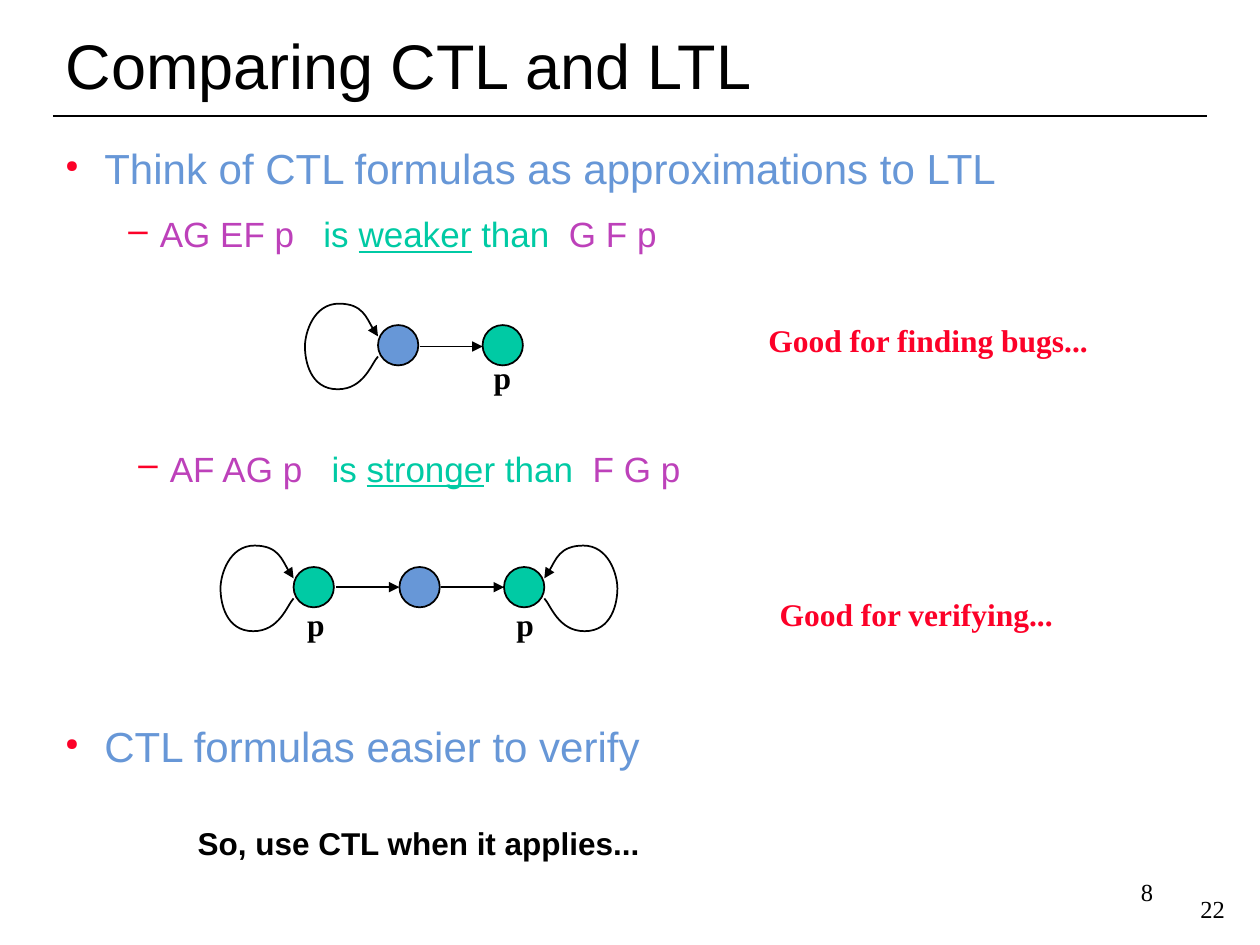
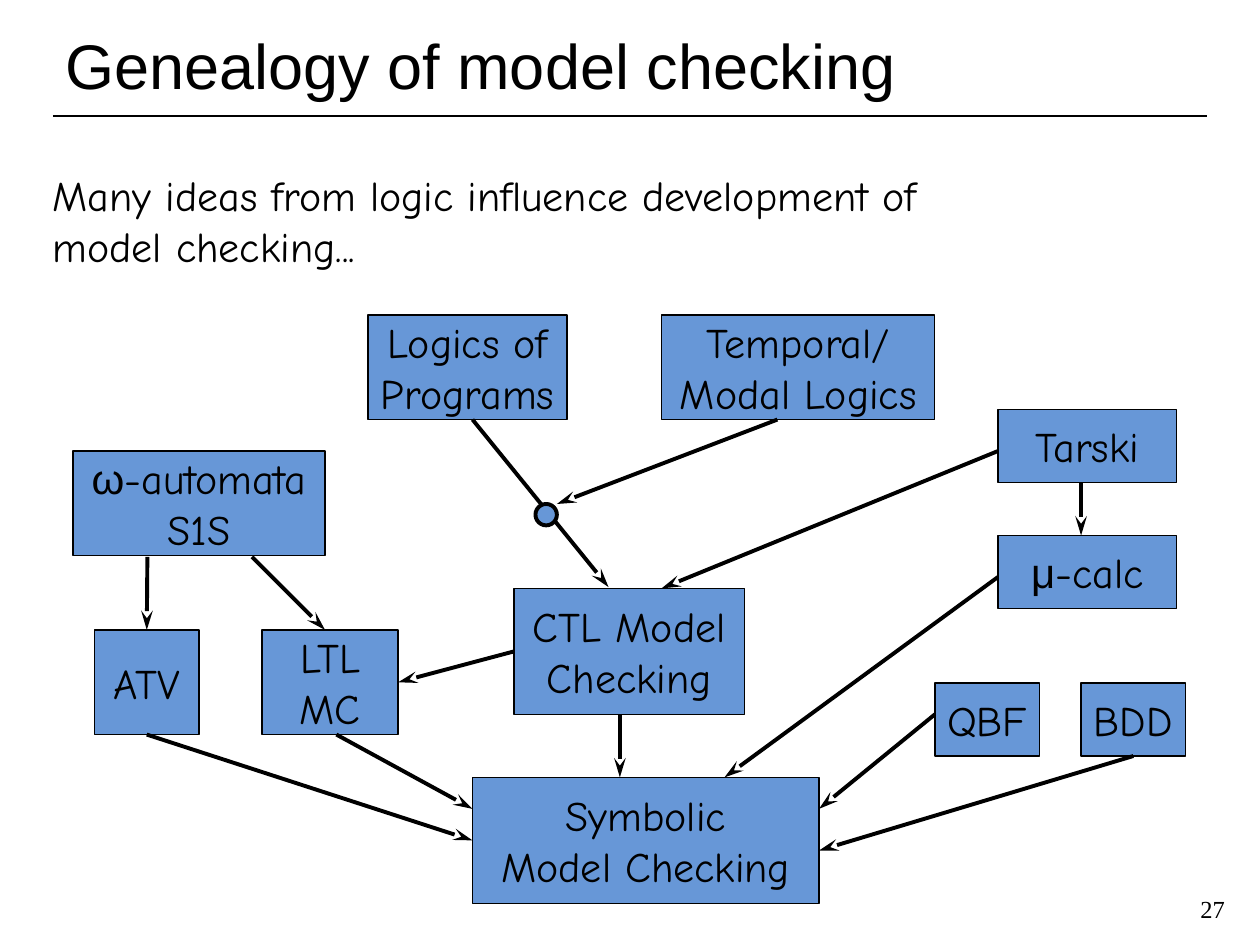
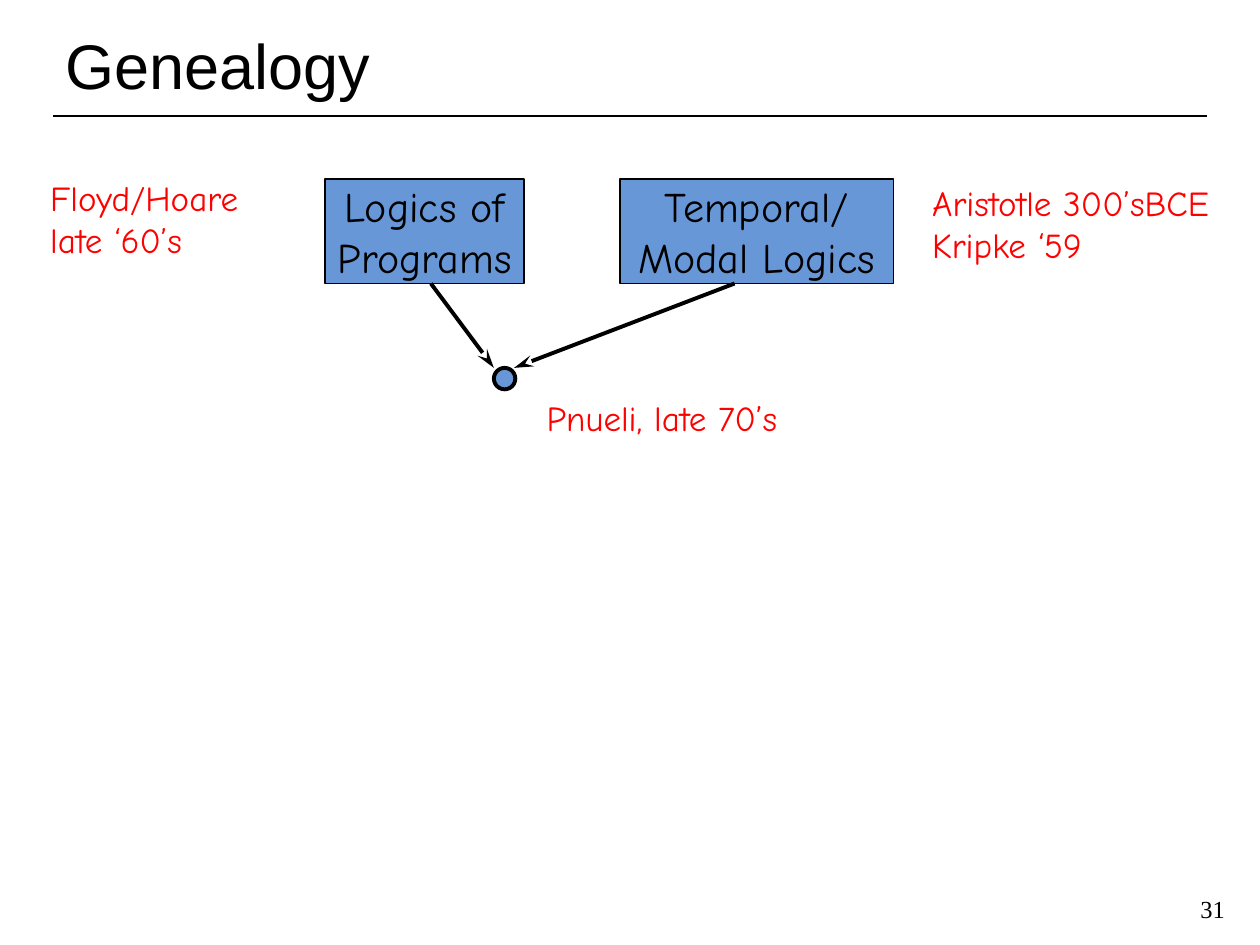
from dataclasses import dataclass

from lxml import etree
from pptx import Presentation
from pptx.dml.color import RGBColor
from pptx.enum.shapes import MSO_CONNECTOR as Link, MSO_SHAPE as Shape
from pptx.enum.text import MSO_ANCHOR as Anchor, MSO_AUTO_SIZE as AutoSize, PP_ALIGN as Align
from pptx.oxml.ns import qn
from pptx.util import Inches, Pt


@dataclass(frozen=True)
class Theme:
    black: str = "000000"
    blue: str = "6797D7"
    green: str = "00CAA4"
    purple: str = "BD41BA"
    crimson: str = "FC0128"
    red: str = "FF0000"
    sans: str = "Arial"
    serif: str = "Times New Roman"
    hand: str = "Comic Neue"
    title: int = 36
    large: int = 24
    medium: int = 20
    label: int = 18
    number: int = 14
    thin: float = 0.75
    normal: float = 1
    thick: float = 2.25


theme = Theme()
TITLE = {"name": theme.sans, "size": theme.title, "color": theme.black}
POINT = {"name": theme.sans, "size": theme.large, "color": theme.blue}
SUBPOINT = {"name": theme.sans, "size": theme.medium, "color": theme.green}
CLOSING = {"name": theme.sans, "size": theme.label, "color": theme.black, "bold": True}
STATE = CLOSING | {"name": theme.serif}
REMARK = STATE | {"color": theme.crimson}
NUMBER = {"name": theme.serif, "size": theme.number, "color": theme.black}
NODE = {"name": theme.hand, "size": theme.large, "color": theme.black}
HISTORY = {"name": theme.hand, "size": theme.medium, "color": theme.red}
FORMULA = {"color": theme.purple}
GREEK = {"name": theme.sans}


def write(frame, lines, style, wrap=False, align=Align.LEFT, anchor=Anchor.TOP):
    """Fill a frame; a line is a string or a list of (text, format changes)."""
    frame.word_wrap, frame.vertical_anchor = wrap, anchor
    frame.auto_size = AutoSize.NONE
    for index, line in enumerate(lines):
        para = frame.add_paragraph() if index else frame.paragraphs[0]
        para.alignment = align
        for text, changes in [(line, {})] if isinstance(line, str) else line:
            span = para.add_run()
            span.text = text
            for name, value in (style | changes).items():
                if name == "color":
                    span.font.color.rgb = RGBColor.from_string(value)
                elif name == "spacing":
                    span.font._element.set("spc", str(round(value * 100)))
                else:
                    setattr(span.font, name, Pt(value) if name == "size" else value)


def outline(shape, width, fill=None, arrow=None):
    """Give a shape or connector a plain black line without shadow."""
    shape.line.width = Pt(width)
    shape.line.color.rgb = RGBColor.from_string(theme.black)
    if fill:
        shape.fill.solid()
        shape.fill.fore_color.rgb = RGBColor.from_string(fill)
    properties = shape._element.spPr
    if arrow:
        etree.SubElement(properties.find(qn("a:ln")), qn("a:tailEnd"), arrow)
    etree.SubElement(properties, qn("a:effectLst"))


TRIANGLE = {"type": "triangle"}
STEALTH = {"type": "stealth", "w": "med", "len": "lg"}

deck = Presentation()
deck.slide_width, deck.slide_height = Inches(10), Inches(7.5)
layout = deck.slide_layouts[5]

# Title and page number of every slide
pages = []
for title, number in [("Comparing CTL and LTL", "22"),
                      ("Genealogy of model checking", "27"),
                      ("Genealogy", "31")]:
    page = deck.slides.add_slide(layout)
    heading = page.shapes.title
    heading.left, heading.top = Inches(0.42), Inches(0.17)
    heading.width, heading.height = Inches(8.88), Inches(0.69)
    write(heading.text_frame, [title], TITLE, wrap=True, anchor=Anchor.BOTTOM)
    box = page.shapes.add_textbox(Inches(9.4), Inches(7), Inches(0.42), Inches(0.42))
    write(box.text_frame, [number], NUMBER, True, Align.RIGHT, Anchor.MIDDLE)
    pages.append(page)
comparison, genealogy, origins = pages

# The rule below the title belongs to the layout
rule = comparison.shapes.add_connector(
    Link.STRAIGHT, Inches(0.42), Inches(0.92), Inches(9.58), Inches(0.92))
outline(rule, theme.normal)
rule._element.nvCxnSpPr.cNvPr.set("id", "10")
layout.shapes.element.append(rule._element)

# Bulleted statements; a wide gap stands before each comparison, a narrow one after
wide, narrow = (" ", {"spacing": 11.12}), (" ", {"spacing": 5.56})
underlined = {"underline": True}
weaker = [("AG EF p", FORMULA), wide, ("is ", {}), ("weaker", underlined),
          (" than", {}), narrow, ("G F p", FORMULA)]
stronger = [("AF AG p", FORMULA), wide, ("is ", {}), ("stronge", underlined),
            ("r than", {}), narrow, ("F G p", FORMULA)]
point = {"char": "●", "margin": 0.31, "hang": 0.31, "percent": 40}
subpoint = {"char": "–", "margin": 0.75, "hang": 0.25, "percent": 100}
for left, top, height, items in [
    (0.42, 1.08, 1.08, [("Think of CTL formulas as approximations to LTL", POINT, point),
                        (weaker, SUBPOINT, subpoint)]),
    (0.5, 3.5, 1.08, [(stronger, SUBPOINT, subpoint)]),
    (0.42, 5.67, 0.67, [("CTL formulas easier to verify", POINT, point)]),
]:
    box = comparison.shapes.add_textbox(
        Inches(left), Inches(top), Inches(9.17), Inches(height))
    lines = [[(text, style)] if isinstance(text, str)
             else [(part, style | changes) for part, changes in text]
             for text, style, bullet in items]
    write(box.text_frame, lines, {}, wrap=True)
    for index, (text, style, bullet) in enumerate(items):
        para = box.text_frame.paragraphs[index]
        para.level = 1 if bullet is subpoint else 0
        settings = para._p.get_or_add_pPr()
        settings.set("marL", str(Inches(bullet["margin"])))
        settings.set("indent", str(-Inches(bullet["hang"])))
        color = etree.SubElement(settings, qn("a:buClr"))
        etree.SubElement(color, qn("a:srgbClr"), val=theme.crimson)
        etree.SubElement(settings, qn("a:buSzPct"), val=str(bullet["percent"] * 1000))
        etree.SubElement(settings, qn("a:buChar"), char=bullet["char"])
        para.space_after = Pt(9 if bullet is point else 7.5)
        if index:
            para.space_before = Pt(2.5)

# State machines
state_size = 0.32
for left, top, fill in [(3, 2.58, theme.blue), (3.83, 2.58, theme.green),
                        (2.33, 4.5, theme.green), (3.17, 4.5, theme.blue),
                        (4, 4.5, theme.green)]:
    state = comparison.shapes.add_shape(
        Shape.OVAL, Inches(left), Inches(top), Inches(state_size), Inches(state_size))
    outline(state, theme.normal, fill)

# Self loops: Bezier points as offsets outwards and down from a state's corner
loop_points = [
    (0.05, 0.3), (0.11, 0.51), (0.32, 0.51),
    (0.54, 0.51), (0.58, 0.28), (0.58, 0.17),
    (0.58, 0.06), (0.51, -0.17), (0.31, -0.17),
    (0.12, -0.17), (0.05, 0.03), (0, 0.09),
]
for left, top, side in [(3, 2.58, -1), (2.33, 4.5, -1), (4 + state_size, 4.5, 1)]:
    builder = comparison.shapes.build_freeform(Inches(left), Inches(top + 0.25))
    builder.add_line_segments(
        [(Inches(left + side * out), Inches(top + down)) for out, down in loop_points],
        close=False)
    self_loop = builder.convert_to_shape()
    self_loop.fill.background()
    outline(self_loop, theme.normal, arrow=TRIANGLE)
    path = next(self_loop._element.iter(qn("a:path")))
    segments = path.findall(qn("a:lnTo"))
    for first in range(0, len(segments), 3):
        curve = etree.SubElement(path, qn("a:cubicBezTo"))
        for segment in segments[first:first + 3]:
            curve.append(segment[0])
            path.remove(segment)

for left, top in [(3.33, 2.75), (2.67, 4.66), (3.5, 4.66)]:
    step_arrow = comparison.shapes.add_connector(
        Link.STRAIGHT, Inches(left), Inches(top), Inches(left + 0.5), Inches(top))
    outline(step_arrow, theme.normal, arrow=TRIANGLE)

# Free text on all slides
for page, left, top, width, height, lines, style in [
    (comparison, 1.47, 6.49, 3.72, 0.4, ["So, use CTL when it applies..."], CLOSING),
    (comparison, 3.82, 2.79, 0.34, 0.4, ["p"], STATE),
    (comparison, 2.34, 4.75, 0.34, 0.4, ["p"], STATE),
    (comparison, 4, 4.75, 0.34, 0.4, ["p"], STATE),
    (comparison, 6, 2.5, 2.74, 0.4, ["Good for finding bugs..."], REMARK),
    (comparison, 6.09, 4.67, 2.37, 0.4, ["Good for verifying..."], REMARK),
    (origins, 4.24, 3.1, 2.04, 0.44, ["Pnueli, late 70’s"], HISTORY),
    (origins, 0.3, 1.35, 1.7, 0.77, ["Floyd/Hoare", "late ‘60’s"], HISTORY),
    (origins, 7.3, 1.39, 2.41, 0.77, ["Aristotle 300’sBCE", "Kripke ‘59"], HISTORY),
]:
    box = page.shapes.add_textbox(Inches(left), Inches(top), Inches(width), Inches(height))
    write(box.text_frame, lines, style)

box = comparison.shapes.add_textbox(Inches(7.17), Inches(6.83), Inches(2.08), Inches(0.5))
write(box.text_frame, ["8"], NUMBER, True, Align.RIGHT, Anchor.MIDDLE)
box = genealogy.shapes.add_textbox(Inches(0.32), Inches(1.3), Inches(7.43), Inches(0.9))
write(box.text_frame,
      ["Many ideas from logic influence development of model checking..."], NODE, wrap=True)

# Genealogy diagrams: boxes, arrows and the junction of the two logics
programs, temporal = ["Logics of", "Programs"], ["Temporal/", "Modal Logics"]
diagrams = [
    (genealogy, [
        (2.92, 2.5, 1.58, 0.83, programs),
        (5.25, 2.5, 2.17, 0.83, temporal),
        (4.08, 4.67, 1.83, 1, ["CTL Model", "Checking"]),
        (3.75, 6.17, 2.75, 1, ["Symbolic", "Model Checking"]),
        (0.58, 3.58, 2, 0.83, [[("ω", GREEK), ("-automata", {})], "S1S"]),
        (2.08, 5, 1.08, 0.83, ["LTL", "MC"]),
        (0.75, 5, 0.83, 0.83, ["ATV"]),
        (7.92, 3.25, 1.42, 0.58, ["Tarski"]),
        (7.92, 4.25, 1.42, 0.58, [[("μ", GREEK), ("-calc", {})]]),
        (7.42, 5.42, 0.83, 0.58, ["QBF"]),
        (8.58, 5.42, 0.83, 0.58, ["BDD"]),
    ], [
        (3.75, 3.33, 4.83, 4.66), (6.17, 3.33, 4.42, 4), (7.92, 3.58, 5.25, 4.67),
        (7.92, 4.58, 5.75, 6.17), (4.92, 5.67, 4.92, 6.17), (1.17, 4.42, 1.17, 5),
        (2, 4.42, 2.58, 5), (1.17, 5.83, 3.75, 6.67), (2.67, 5.83, 3.75, 6.42),
        (7.42, 5.67, 6.5, 6.42), (9, 6, 6.5, 6.75), (4.08, 5.17, 3.17, 5.42),
        (8.58, 3.83, 8.58, 4.25),
    ], (4.25, 4)),
    (origins, [
        (2.58, 1.42, 1.58, 0.83, programs),
        (4.92, 1.42, 2.17, 0.83, temporal),
    ], [(3.42, 2.25, 3.92, 2.92), (5.83, 2.25, 4.08, 2.92)], (3.92, 2.92)),
]
for page, nodes, arrows, junction in diagrams:
    sites = []
    for left, top, width, height, lines in nodes:
        node = page.shapes.add_shape(
            Shape.RECTANGLE, Inches(left), Inches(top), Inches(width), Inches(height))
        outline(node, theme.thin, theme.blue)
        write(node.text_frame, lines, NODE, align=Align.CENTER, anchor=Anchor.MIDDLE)
        middle, center = left + width / 2, top + height / 2
        sides = [(middle, top), (left, center), (middle, top + height), (left + width, center)]
        sites += [(node, site, x, y) for site, (x, y) in enumerate(sides)]
    for x1, y1, x2, y2 in arrows:
        arrow = page.shapes.add_connector(
            Link.STRAIGHT, Inches(x1), Inches(y1), Inches(x2), Inches(y2))
        outline(arrow, theme.thick, arrow=STEALTH)
        for join, end_x, end_y in [(arrow.begin_connect, x1, y1), (arrow.end_connect, x2, y2)]:
            for node, site, x, y in sites:
                if max(abs(x - end_x), abs(y - end_y)) < 0.02:
                    join(node, site)
    dot = page.shapes.add_shape(
        Shape.OVAL, Inches(junction[0]), Inches(junction[1]), Inches(0.17), Inches(0.17))
    outline(dot, theme.thick, theme.blue)

deck.save("out.pptx")
